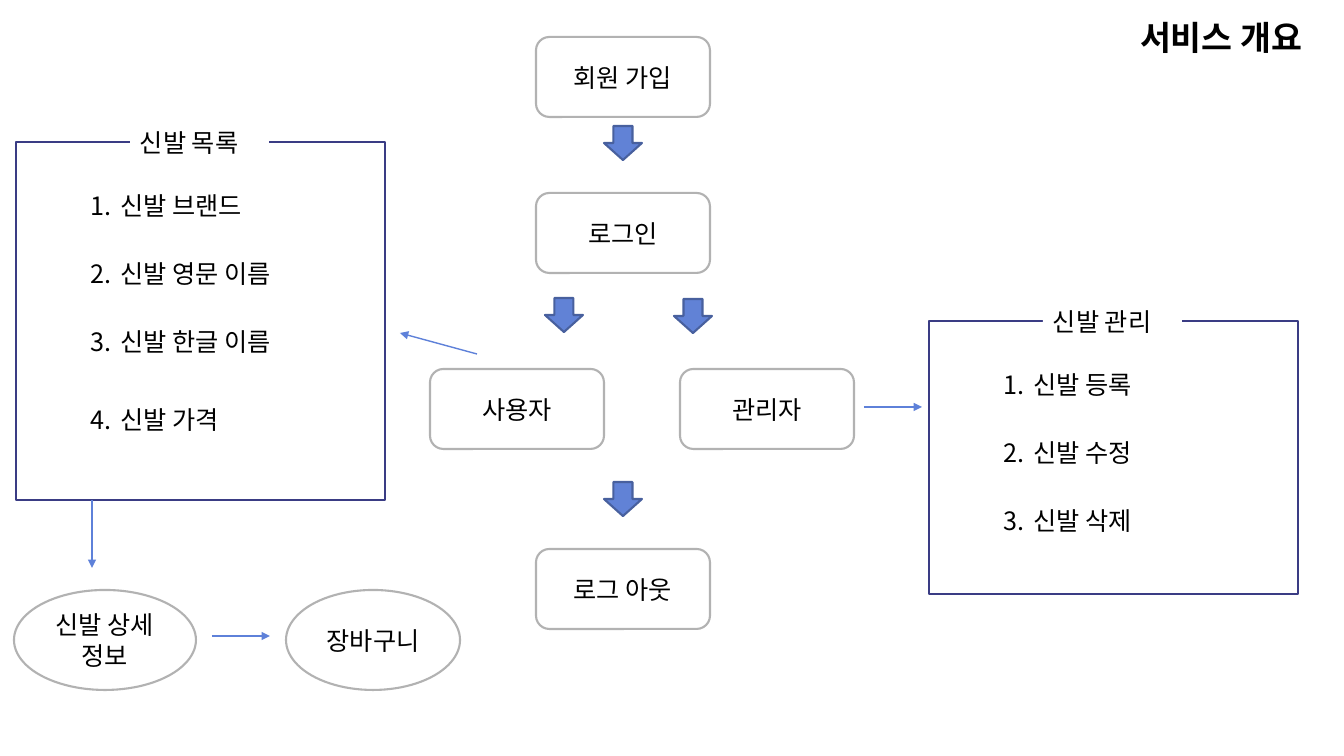
"""Build the service overview slide of a shoe shop."""
from lxml.etree import SubElement
from pptx import Presentation
from pptx.dml.color import RGBColor
from pptx.enum.shapes import MSO_CONNECTOR as LINE, MSO_SHAPE as SHAPE
from pptx.enum.text import MSO_ANCHOR as ANCHOR, MSO_AUTO_SIZE as AUTO, PP_ALIGN as ALIGN
from pptx.oxml.ns import qn
from pptx.util import Emu, Pt

PX = 914400 / 100.8
FONT = "Calibri"
BLACK, WHITE, GRAY, NAVY = "000000", "FFFFFF", "B2B2B2", "3A3C84"
ARROW_FILL, ARROW_LINE, LINK = "6182D6", "48609E", "5E81D9"

TITLE = ("서비스 개요", (1130, 12, 208, 50))
STEP_SIZE = (174, 80)
STEPS = [
    ("회원 가입", 536, 37),
    ("로그인", 536, 193),
    ("사용자", 430, 369),
    ("관리자", 680, 369),
    ("로그 아웃", 536, 549),
]
ARROW_SIZE = (38, 34)
ARROWS = [(604, 126), (545, 298), (674, 299), (604, 482)]
OVALS = [
    ("신발 상세 정보", (14, 590, 182, 100)),
    ("장바구니", (286, 590, 174, 100)),
]
LINKS = [
    (477, 354, 400, 333),
    (92, 500, 92, 568),
    (212, 636, 270, 636),
    (864, 407, 922, 407),
]
PANELS = [
    ("신발 목록", (16, 142, 369, 358),
     [("신발 브랜드", 27), ("신발 영문 이름", 27), ("신발 한글 이름", 34), ("신발 가격", 0)]),
    ("신발 관리", (929, 321, 369, 273),
     [("신발 등록", 27), ("신발 수정", 27), ("신발 삭제", 0)]),
]


def px(*values):
    """Turn pixel lengths into EMU."""
    return [Emu(round(v * PX)) for v in values]


def rgb(color):
    """Turn a hex string into a colour."""
    return RGBColor.from_string(color)


def write(p, text, size=18, bold=False, align=ALIGN.LEFT):
    """Add one formatted run to a paragraph."""
    p.alignment = align
    r = p.add_run()
    r.text = text
    r.font.name, r.font.size, r.font.bold = FONT, Pt(size), bold
    r.font.color.rgb = rgb(BLACK)


def add_box(s, kind, box, fill=WHITE, line=None, text="", align=ALIGN.CENTER):
    """Add a flat preset shape with optional outline and text."""
    sp = s.shapes.add_shape(kind, *px(*box))
    sp.shadow.inherit = False
    sp.fill.solid()
    sp.fill.fore_color.rgb = rgb(fill)
    if line:
        sp.line.color.rgb = rgb(line)
        sp.line.width = Pt(1.5)
    else:
        sp.line.fill.background()
    if text:
        sp.text_frame.vertical_anchor = ANCHOR.MIDDLE
        write(sp.text_frame.paragraphs[0], text, align=align)
    return sp


def add_link(s, x1, y1, x2, y2):
    """Add a thin line with an arrowhead at its end."""
    c = s.shapes.add_connector(LINE.STRAIGHT, *px(x1, y1, x2, y2))
    c.line.color.rgb = rgb(LINK)
    c.line.width = Pt(1)
    SubElement(c.line._get_or_add_ln(), qn("a:tailEnd"), type="triangle")
    SubElement(c._element.spPr, qn("a:effectLst"))


def place(sp, box):
    """Move a placeholder to a box, in front of the other shapes."""
    sp.left, sp.top, sp.width, sp.height = px(*box)
    sp.element.getparent().append(sp.element)
    tf = sp.text_frame
    tf.word_wrap, tf.auto_size, tf.vertical_anchor = True, AUTO.NONE, ANCHOR.TOP
    return tf


def add_panel(s, body, label, box, items):
    """Add a framed numbered list with its label on the top edge."""
    x, y, w, h = box
    add_box(s, SHAPE.RECTANGLE, box, line=NAVY)
    add_box(s, SHAPE.RECTANGLE, (x + 114, y - 20, 139, 40), text=label, align=ALIGN.LEFT)
    tf = place(body, (x + 64, y + 43, 241, h - 60))
    hang = px(30)[0]
    for i, (text, gap) in enumerate(items):
        p = tf.add_paragraph() if i else tf.paragraphs[0]
        write(p, text)
        p.line_spacing, p.space_before, p.space_after = 1.0, Pt(0), Pt(gap)
        pPr = p._p.get_or_add_pPr()
        pPr.set("marL", str(hang))
        pPr.set("indent", str(-hang))
        SubElement(pPr, qn("a:buFont"), typeface=FONT)
        SubElement(pPr, qn("a:buAutoNum"), type="arabicPeriod")


def main():
    """Compose and save the slide."""
    prs = Presentation()
    prs.slide_width, prs.slide_height = px(1344, 756)
    s = prs.slides.add_slide(prs.slide_layouts[3])
    title, *bodies = list(s.placeholders)
    for text, x, y in STEPS:
        add_box(s, SHAPE.ROUNDED_RECTANGLE, (x, y, *STEP_SIZE), line=GRAY, text=text)
    for x, y in ARROWS:
        add_box(s, SHAPE.DOWN_ARROW, (x, y, *ARROW_SIZE), ARROW_FILL, ARROW_LINE)
    for body, panel in zip(bodies, PANELS):
        add_panel(s, body, *panel)
    for text, box in OVALS:
        add_box(s, SHAPE.OVAL, box, line=GRAY, text=text)
    for ends in LINKS:
        add_link(s, *ends)
    text, box = TITLE
    write(place(title, box).paragraphs[0], text, 24, True)
    prs.save("out.pptx")


if __name__ == "__main__":
    main()
